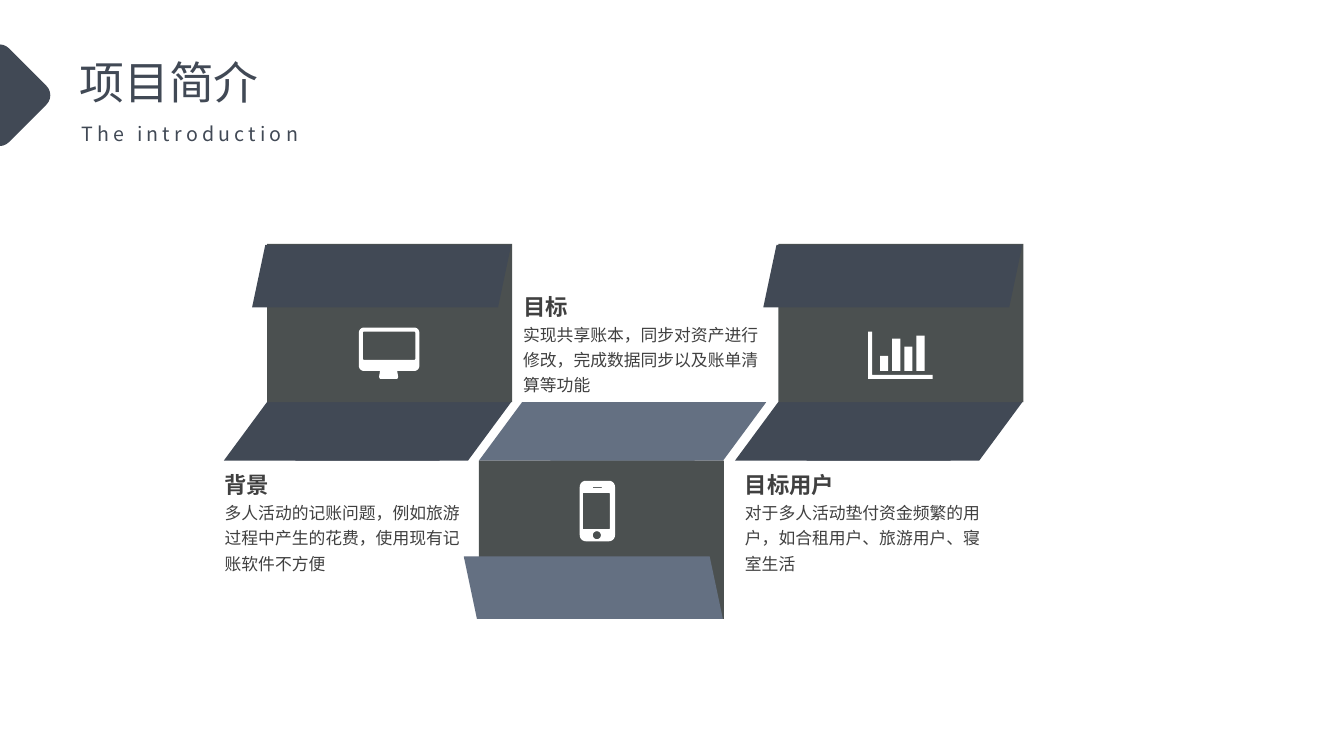
import math

import pptx
import pptx.dml.color
import pptx.enum.shapes
import pptx.enum.text
import pptx.oxml
import pptx.oxml.ns
import pptx.util

Inches = pptx.util.Inches
Pt = pptx.util.Pt
SHAPE = pptx.enum.shapes.MSO_SHAPE

FONT = "Noto Sans CJK SC"
COLORS = {
    "navy": "414955",
    "slate": "647082",
    "box": "4B5050",
    "text": "404040",
    "white": "FFFFFF",
}


def rgb(name):
    return pptx.dml.color.RGBColor.from_string(COLORS[name])


def paint(sp, color):
    sp.shadow.inherit = False
    sp.fill.solid()
    sp.fill.fore_color.rgb = rgb(color)
    sp.line.fill.background()


def add_preset(slide, kind, left, top, width, height, color, rotation=0, flip=False):
    sp = slide.shapes.add_shape(
        kind, Inches(left), Inches(top), Inches(width), Inches(height))
    paint(sp, color)
    sp.rotation = rotation
    if flip:
        sp._element.spPr.find(pptx.oxml.ns.qn("a:xfrm")).set("flipH", "1")
    return sp


def add_text(slide, left, top, width, height, text, size, color="text",
             bold=False, line_spacing=None, tracking=0):
    """Add a one-run text box; tracking is the letter spacing in points."""
    box = slide.shapes.add_textbox(
        Inches(left), Inches(top), Inches(width), Inches(height))
    tf = box.text_frame
    tf.word_wrap = True
    tf.auto_size = pptx.enum.text.MSO_AUTO_SIZE.SHAPE_TO_FIT_TEXT
    p = tf.paragraphs[0]
    if line_spacing:
        p.line_spacing = line_spacing
    r = p.add_run()
    r.text = text
    r.font.size = Pt(size)
    r.font.bold = bold
    r.font.name = FONT
    r.font.color.rgb = rgb(color)
    rPr = r._r.get_or_add_rPr()
    ea = pptx.oxml.parse_xml(
        f'<a:ea {pptx.oxml.ns.nsdecls("a")} typeface="{FONT}"/>')
    rPr.find(pptx.oxml.ns.qn("a:latin")).addnext(ea)
    if tracking:
        rPr.set("spc", str(tracking * 100))


def rect_points(left, top, right, bottom):
    return [(right, bottom), (left, bottom), (left, top), (right, top)]


def round_points(left, top, right, bottom, radius, steps=6):
    """Outline of a rounded rectangle, clockwise from its bottom right corner."""
    centers = rect_points(left + radius, top + radius, right - radius, bottom - radius)
    points = []
    for corner, (x, y) in enumerate(centers):
        for step in range(steps + 1):
            angle = math.pi / 2 * (corner + step / steps)
            points.append((x + radius * math.cos(angle), y + radius * math.sin(angle)))
    return points


def add_icon(slide, contours):
    """Draw closed contours as one white shape; inner contours become holes."""
    scaled = [[(Inches(x), Inches(y)) for x, y in points] for points in contours]
    builder = slide.shapes.build_freeform(*scaled[0][0], scale=1.0)
    for i, points in enumerate(scaled):
        if i:
            builder.move_to(*points[0])
        builder.add_line_segments(points[1:], close=True)
    paint(builder.convert_to_shape(), "white")


def add_panel(slide, fold_left, box_left, box_top, flap_left, flap_top, color, flip=False):
    """Draw a slanted fold, the box on it and the flap over the box."""
    for shift, rotation in ((0.71, 90), (0, 270)):
        add_preset(slide, SHAPE.FLOWCHART_MANUAL_INPUT, fold_left + shift, 3.21,
                   0.58, 2.14, color, rotation, flip=True)
    add_preset(slide, SHAPE.RECTANGLE, box_left, box_top, 2.43, 1.57, "box")
    flap = add_preset(slide, SHAPE.PARALLELOGRAM, flap_left, flap_top,
                      2.57, 0.62, color, 180, flip)
    flap.adjustments[0] = 0.211


def add_monitor(slide):
    outline = round_points(3.56, 3.25, 4.16, 3.68, 0.05)
    stand = [(3.94, 3.68), (3.95, 3.74), (3.94, 3.76),
             (3.77, 3.76), (3.76, 3.74), (3.77, 3.68)]
    corner = len(outline) // 4
    add_icon(slide, [outline[:corner] + stand + outline[corner:],
                     round_points(3.6, 3.29, 4.12, 3.57, 0.01)])


def add_phone(slide):
    add_icon(slide, [
        round_points(5.75, 4.77, 6.1, 5.37, 0.06),
        round_points(5.78, 4.89, 6.05, 5.25, 0.01),
        rect_points(5.88, 4.83, 5.97, 4.84),
        round_points(5.88, 5.27, 5.96, 5.35, 0.04),
    ])


def add_bar_icon(slide):
    axes = [(9.25, 3.76), (8.61, 3.76), (8.61, 3.29),
            (8.65, 3.29), (8.65, 3.72), (9.25, 3.72)]
    bars = [rect_points(8.73 + 0.12 * i, top, 8.81 + 0.12 * i, 3.68)
            for i, top in enumerate((3.53, 3.36, 3.44, 3.33))]
    add_icon(slide, [axes] + bars)


def add_caption(slide, left, top, heading, body):
    add_text(slide, left, top + 0.33, 2.68, 0.84, body, 12, line_spacing=1.25)
    add_text(slide, left, top, 1.48, 0.41, heading, 16, bold=True, line_spacing=1.25)


def main():
    prs = pptx.Presentation()
    prs.slide_width, prs.slide_height = Inches(13.33), Inches(7.5)
    slide = prs.slides.add_slide(prs.slide_layouts[6])

    add_preset(slide, SHAPE.ROUNDED_RECTANGLE, -0.4, 0.55, 0.79, 0.79, "navy", 45)
    add_text(slide, 0.69, 0.49, 3.75, 0.64, "项目简介", 32, "navy")
    add_text(slide, 0.71, 1.04, 2.77, 0.41, "The introduction", 14, "navy",
             line_spacing=1.5, tracking=3)

    for shift in (5.07, 0):
        add_panel(slide, 3 + shift, 2.65 + shift, 2.42, 2.5 + shift, 2.43, "navy")
    add_panel(slide, 5.53, 4.75, 4.57, 4.6, 5.52, "slate", flip=True)

    add_monitor(slide)
    add_bar_icon(slide)
    add_phone(slide)

    add_caption(slide, 5.09, 2.79, "目标",
                "实现共享账本，同步对资产进行修改，完成数据同步以及账单清算等功能")
    add_caption(slide, 2.13, 4.56, "背景",
                "多人活动的记账问题，例如旅游过程中产生的花费，使用现有记账软件不方便")
    add_caption(slide, 7.29, 4.56, "目标用户",
                "对于多人活动垫付资金频繁的用户，如合租用户、旅游用户、寝室生活")

    prs.save("out.pptx")


if __name__ == "__main__":
    main()
